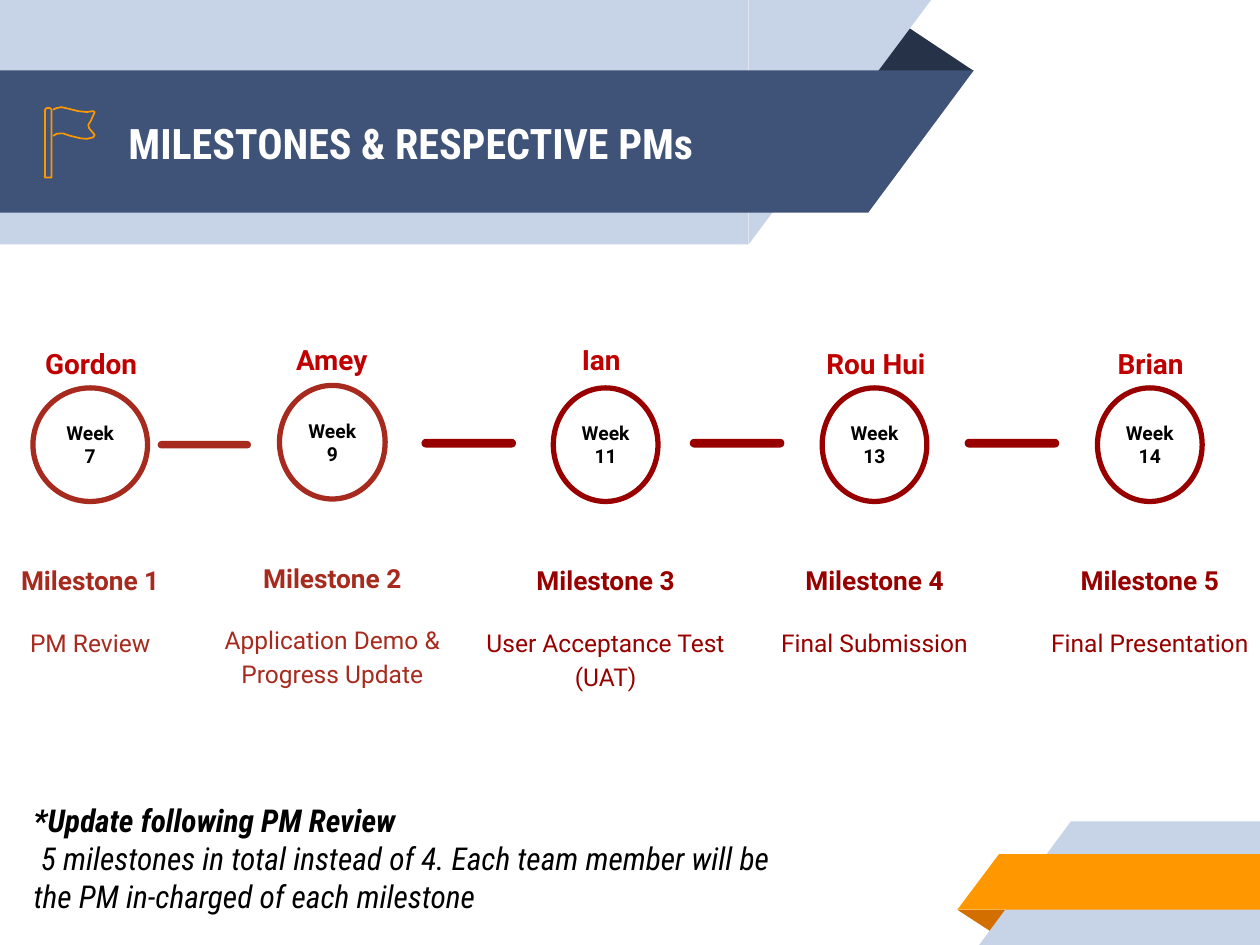
import pptx
import pptx.dml.color
import pptx.enum.shapes
import pptx.enum.text
import pptx.util

Cm = pptx.util.Cm
Pt = pptx.util.Pt
RGBColor = pptx.dml.color.RGBColor
SHAPE = pptx.enum.shapes.MSO_SHAPE
ALIGN = pptx.enum.text.PP_ALIGN
ANCHOR = pptx.enum.text.MSO_ANCHOR

NAVY = RGBColor(0x3F, 0x53, 0x78)
DARK_NAVY = RGBColor(0x26, 0x32, 0x48)
PALE_BLUE = RGBColor(0xC7, 0xD3, 0xE6)
ORANGE = RGBColor(0xFF, 0x98, 0x00)
DARK_ORANGE = RGBColor(0xD2, 0x6F, 0x00)
BRICK = RGBColor(0xA7, 0x2A, 0x1E)
MAROON = RGBColor(0x98, 0x00, 0x00)
RED = RGBColor(0xC0, 0x00, 0x00)
BLACK = RGBColor(0, 0, 0)
WHITE = RGBColor(0xFF, 0xFF, 0xFF)

BODY_FONT = "Roboto"
HEAD_FONT = "Roboto Condensed"

# colour, centre, circle top, circle width, week, title, task,
# manager, name left, name top, name width
MILESTONES = [
    (BRICK, 1.82, 7.82, 2.31, "Week 7", "Milestone 1", "PM Review",
     "Gordon", 0.58, 6.81, 2.82),
    (BRICK, 6.7, 7.77, 2.13, "Week 9", "Milestone 2",
     "Application Demo & Progress Update", "Amey", 5.64, 6.73, 2.49),
    (MAROON, 12.21, 7.82, 2.11, "Week 11", "Milestone 3",
     "User Acceptance Test (UAT)", "Ian", 11.4, 6.73, 1.63),
    (MAROON, 17.63, 7.82, 2.11, "Week 13", "Milestone 4",
     "Final Submission", "Rou Hui", 16.33, 6.81, 2.82),
    (MAROON, 23.18, 7.82, 2.11, "Week 14", "Milestone 5",
     "Final Presentation", "Brian", 22.2, 6.81, 2.11),
]
# left, top, colour, outlined
LINKS = [
    (3.18, 8.89, BRICK, False),
    (8.51, 8.86, MAROON, True),
    (13.92, 8.86, MAROON, True),
    (19.46, 8.86, MAROON, True),
]

# Flag outlines in hundredths of a centimetre
POLE = [(0, 142), (0, 5), (3, 2), (10, 2), (13, 5), (13, 142)]
CLOTH = [(16, 58), (23, 54), (31, 53), (36, 53), (51, 58), (72, 63), (84, 64),
         (97, 61), (100, 56), (89, 43), (87, 36), (92, 28), (100, 10), (97, 8),
         (84, 10), (66, 8), (46, 3), (33, 0), (23, 2), (16, 5)]


def add_shape(slide, kind, x, y, w, h, fill=None, line=None, line_width=0.75):
    sp = slide.shapes.add_shape(kind, Cm(x), Cm(y), Cm(w), Cm(h))
    sp.shadow.inherit = False
    if fill is None:
        sp.fill.background()
    else:
        sp.fill.solid()
        sp.fill.fore_color.rgb = fill
    if line is None:
        sp.line.fill.background()
    else:
        sp.line.color.rgb = line
        sp.line.width = Pt(line_width)
    return sp


def add_run(p, text, size, color, font=BODY_FONT, bold=False, italic=False):
    r = p.add_run()
    r.text = text
    r.font.size = Pt(size)
    r.font.name = font
    r.font.bold = bold
    r.font.italic = italic
    r.font.color.rgb = color


def set_frame(sp, anchor, inset_x=0.25, inset_y=0.25):
    tf = sp.text_frame
    tf.word_wrap = True
    tf.vertical_anchor = anchor
    tf.margin_left = tf.margin_right = Cm(inset_x)
    tf.margin_top = tf.margin_bottom = Cm(inset_y)
    return tf


def add_text(slide, x, y, w, h, anchor=ANCHOR.TOP, inset_x=0.25, inset_y=0.25):
    sp = slide.shapes.add_textbox(Cm(x), Cm(y), Cm(w), Cm(h))
    return set_frame(sp, anchor, inset_x, inset_y)


def add_ribbon(slide, x, y, w, h, slant, color, from_left):
    """Band whose slanted end is a right triangle, on the right if from_left."""
    flat = w - slant
    rect_x, tip_x = (x, x + flat) if from_left else (x + slant, x)
    add_shape(slide, SHAPE.RECTANGLE, rect_x, y, flat, h, color)
    tip = add_shape(slide, SHAPE.RIGHT_TRIANGLE, tip_x, y, slant, h, color)
    tip.element.spPr.xfrm.set("flipH", "1")
    if from_left:
        tip.rotation = 180


def add_fold(slide, x, y, w, h, color):
    sp = add_shape(slide, SHAPE.ISOSCELES_TRIANGLE, x, y, w, h, color)
    sp.adjustments[0] = 0.324
    return sp


def add_flag(slide, x, y):
    for points, closed in ((POLE, True), (CLOTH, False)):
        fb = slide.shapes.build_freeform(*points[0], scale=Cm(0.01))
        fb.add_line_segments(points[1:], close=closed)
        sp = fb.convert_to_shape(Cm(x), Cm(y))
        sp.shadow.inherit = False
        sp.fill.background()
        sp.line.color.rgb = ORANGE
        sp.line.width = Pt(0.96)


def add_banner(slide, x, y, w, h):
    add_fold(slide, x + w - 2.16, y + 0.46, 2.16, 0.97, DARK_NAVY)
    add_ribbon(slide, x, y, w - 0.86, h, 3.68, PALE_BLUE, True)
    add_ribbon(slide, x, y + 1.42, w, 2.87, 2.13, NAVY, True)
    tf = add_text(slide, x + 2.26, y + 1.45, 14.6, 2.84, ANCHOR.MIDDLE, 0.33, 0.33)
    add_run(tf.paragraphs[0], "MILESTONES & RESPECTIVE PMs", 24, WHITE,
            HEAD_FONT, bold=True)
    add_flag(slide, x + 0.91, y + 2.16)


def add_corner(slide, x, y, w, h):
    add_fold(slide, x, y + 1.78, 1.09, 0.48, DARK_ORANGE).rotation = 180
    add_ribbon(slide, x + 0.44, y, w - 0.44, h, 1.85, PALE_BLUE, False)
    add_ribbon(slide, x, y + 0.66, w, 1.12, 0.84, ORANGE, False)


def add_milestone(slide, color, center, top, width, week, title, task,
                  manager, name_left, name_top, name_width):
    circle = add_shape(slide, SHAPE.OVAL, center - width / 2, top, width, 2.29,
                       line=color, line_width=3)
    p = set_frame(circle, ANCHOR.MIDDLE).paragraphs[0]
    p.alignment = ALIGN.CENTER
    add_run(p, week, 11, BLACK, bold=True)

    text_w = 6.1
    labels = ((title, 2.72, 1.73, ANCHOR.BOTTOM, 15, True, 0),
              (task, 4.5, 2.84, ANCHOR.TOP, 14, False, 16))
    for text, dy, height, anchor, size, bold, after in labels:
        tf = add_text(slide, center - text_w / 2, top + dy, text_w, height, anchor)
        p = tf.paragraphs[0]
        p.alignment = ALIGN.CENTER
        p.line_spacing = 1.15
        p.space_after = Pt(after)
        add_run(p, text, size, color, bold=bold)

    tf = add_text(slide, name_left, name_top, name_width, 1.02,
                  inset_x=0.33, inset_y=0.18)
    add_run(tf.paragraphs[0], manager, 16, RED, bold=True)


def add_timeline(slide):
    for milestone in MILESTONES:
        add_milestone(slide, *milestone)
    for x, y, color, outlined in LINKS:
        bar = add_shape(slide, SHAPE.ROUNDED_RECTANGLE, x, y, 1.88, 0.15, color,
                        line=color if outlined else None)
        bar.adjustments[0] = 0.5


def add_update_note(slide, x, y, w, h):
    tf = add_text(slide, x, y, w, h)
    add_run(tf.paragraphs[0], "*Update following PM Review", 18, BLACK,
            HEAD_FONT, bold=True, italic=True)
    add_run(tf.add_paragraph(),
            " 5 milestones in total instead of 4. Each team member will be "
            "the PM in-charged of each milestone",
            18, BLACK, HEAD_FONT, italic=True)


def main():
    prs = pptx.Presentation()
    prs.slide_width = Cm(25.4)
    prs.slide_height = Cm(19.05)
    slide = prs.slides.add_slide(prs.slide_layouts[6])
    add_banner(slide, 0, 0, 19.63, 4.93)
    add_corner(slide, 19.3, 16.56, 6.1, 2.49)
    add_timeline(slide)
    add_update_note(slide, 0.43, 15.9, 16.18, 2.84)
    prs.save("out.pptx")


if __name__ == "__main__":
    main()
